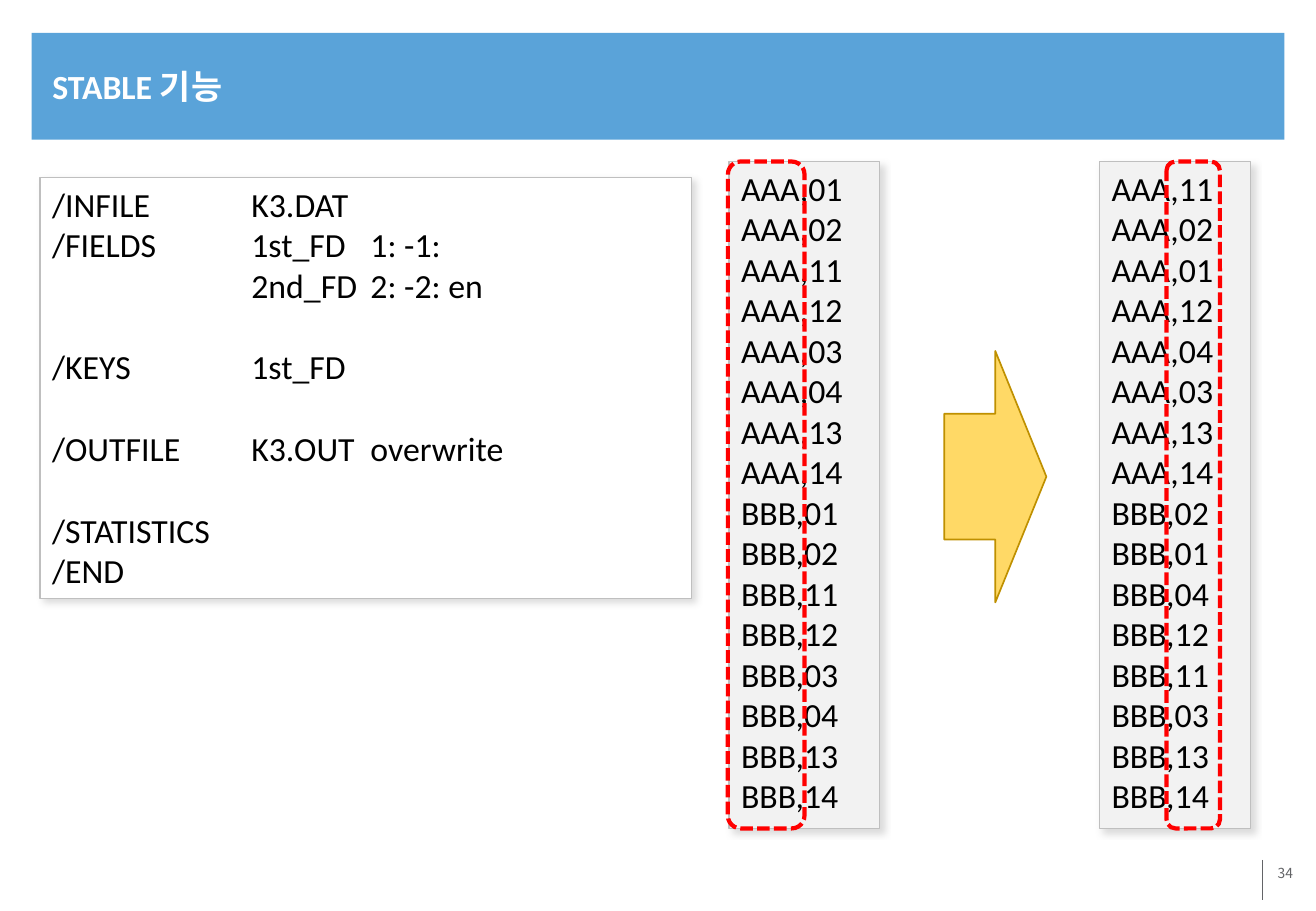
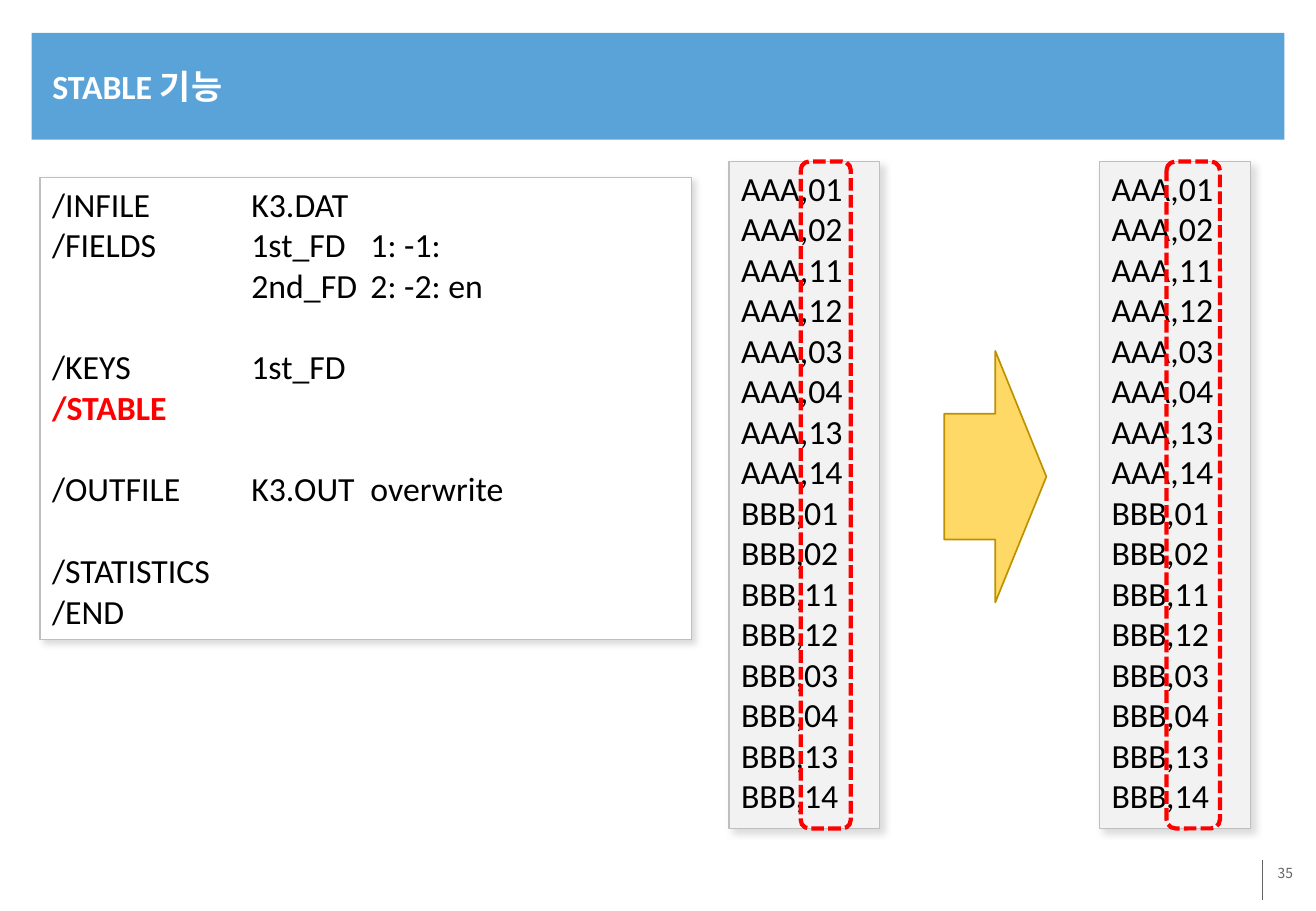
"""Build two slides that compare sorting without and with the STABLE option."""
from lxml import etree
from pptx import Presentation, util as u
from pptx.dml.color import RGBColor
from pptx.enum import dml, shapes, text
from pptx.oxml import parse_xml
from pptx.oxml.ns import nsdecls, qn

prs = Presentation()
prs.slide_width, prs.slide_height = u.Inches(10.83), u.Inches(7.5)
W, H = prs.slide_width / 100, prs.slide_height / 100
SHAPE = shapes.MSO_SHAPE
SHADOW = (f'<a:effectLst {nsdecls("a")}><a:outerShdw blurRad="50800" dist="38100" dir="2700000" '
          'algn="tl" rotWithShape="0"><a:srgbClr val="A6A6A6"><a:alpha val="40000"/>'
          '</a:srgbClr></a:outerShdw></a:effectLst>')


def draw(s, kind, x, y, w, h, fill=None, line=None, width=0.75, dash=None, shadow=False):
    """Add a preset shape placed in percent of the slide."""
    sp = s.shapes.add_shape(kind, int(x * W), int(y * H), int(w * W), int(h * H))
    sp.shadow.inherit = False
    if fill:
        sp.fill.solid()
        sp.fill.fore_color.rgb = RGBColor.from_string(fill)
    else:
        sp.fill.background()
    if line:
        sp.line.color.rgb = RGBColor.from_string(line)
        sp.line.width = u.Pt(width)
        sp.line.dash_style = dash
    else:
        sp.line.fill.background()
    if shadow:
        sp._element.spPr.replace(sp._element.spPr.find(qn("a:effectLst")), parse_xml(SHADOW))
    return sp


def write(sp, lines, size=20, font="Calibri", color="000000", bold=False, accent=None,
          align="LEFT", anchor="TOP", margins=(0.1, 0.05), tabs=()):
    """Fill a shape with lines; an empty line becomes space before the next one."""
    tf = sp.text_frame
    tf.word_wrap = True
    tf.auto_size = text.MSO_AUTO_SIZE.NONE
    tf.vertical_anchor = text.MSO_ANCHOR[anchor]
    tf.margin_left = tf.margin_right = u.Inches(margins[0])
    tf.margin_top = tf.margin_bottom = u.Inches(margins[1])
    p, gap = tf.paragraphs[0], 0
    for i, line in enumerate(lines):
        if not line:
            gap = 24.4
            continue
        p = tf.add_paragraph() if i else p
        p.alignment = text.PP_ALIGN[align]
        p.space_before, gap = u.Pt(gap), 0
        if tabs:
            stops = etree.SubElement(p._p.get_or_add_pPr(), qn("a:tabLst"))
            for pos in tabs:
                etree.SubElement(stops, qn("a:tab"), pos=str(u.Inches(pos)), algn="l")
        r = p.add_run()
        r.text = line
        r.font.size, r.font.name = u.Pt(size), font
        r.font.bold = bold or line == accent
        r.font.color.rgb = RGBColor.from_string("FF0000" if line == accent else color)


HEAD = ["/INFILE\tK3.DAT", "/FIELDS\t1st_FD\t1: -1:", "\t2nd_FD\t2: -2: en", "", "/KEYS\t1st_FD"]
TAIL = ["", "/OUTFILE\tK3.OUT\toverwrite", "", "/STATISTICS", "/END"]
INPUT = "01 02 11 12 03 04 13 14"
LIST_TOP, LIST_H = 17.73, 73.2
SLIDES = [
    (34, HEAD + TAIL, ("11 02 01 12 04 03 13 14", "02 01 04 12 11 03 13 14"), (55.31, 5.82)),
    (35, HEAD + ["/STABLE"] + TAIL, (INPUT, INPUT), (60.85, 3.79)),
]

for number, code, output, input_mark in SLIDES:
    s = prs.slides.add_slide(prs.slide_layouts[5])
    draw(s, SHAPE.RECTANGLE, 2.4, 3.6, 95.2, 11.73, fill="5AA3D9")
    title = s.shapes.title
    title.left, title.top, title.width, title.height = (
        int(3.05 * W), int(4.13 * H), int(94.18 * W), int(10.53 * H))
    write(title, ["STABLE 기능"], color="FFFFFF", bold=True, anchor="MIDDLE")
    title._element.getparent().append(title._element)

    page = s.shapes.add_textbox(int(82 * W), int(94.4 * H), int(16.9 * W), int(6.67 * H))
    write(page, [str(number)], size=8.2, font="Noto Sans CJK KR", color="636467",
          align="RIGHT", margins=(0.07, 0.04))
    rule = s.shapes.add_connector(shapes.MSO_CONNECTOR.STRAIGHT, int(95.94 * W), int(94.4 * H),
                                  int(95.94 * W), int(98.8 * H))
    rule.line.color.rgb = RGBColor.from_string("636467")
    rule.line.width = u.Pt(0.75)
    etree.SubElement(rule._element.spPr, qn("a:effectLst"))

    sp = draw(s, SHAPE.RECTANGLE, 3.05, 19.47, 49.49, 1.33 + 4.49 * len(code),
              fill="FFFFFF", line="BFBFBF", shadow=True)
    write(sp, code, accent="/STABLE", tabs=(1.64, 2.62))
    draw(s, SHAPE.RIGHT_ARROW, 71.75, 38.53, 7.76, 27.6, fill="FFD966", line="BF9000", width=1)
    for x, columns in ((55.4, (INPUT, INPUT)), (83.56, output)):
        sp = draw(s, SHAPE.RECTANGLE, x, LIST_TOP, 11.45, LIST_H,
                  fill="F2F2F2", line="BFBFBF", shadow=True)
        write(sp, [f"{key},{n}" for key, column in zip(("AAA", "BBB"), columns)
                   for n in column.split()])
    for x, w in (input_mark, (88.64, 4.06)):
        draw(s, SHAPE.ROUNDED_RECTANGLE, x, LIST_TOP, w, LIST_H,
             line="FF0000", width=2.5, dash=dml.MSO_LINE.SQUARE_DOT)

prs.save("out.pptx")
